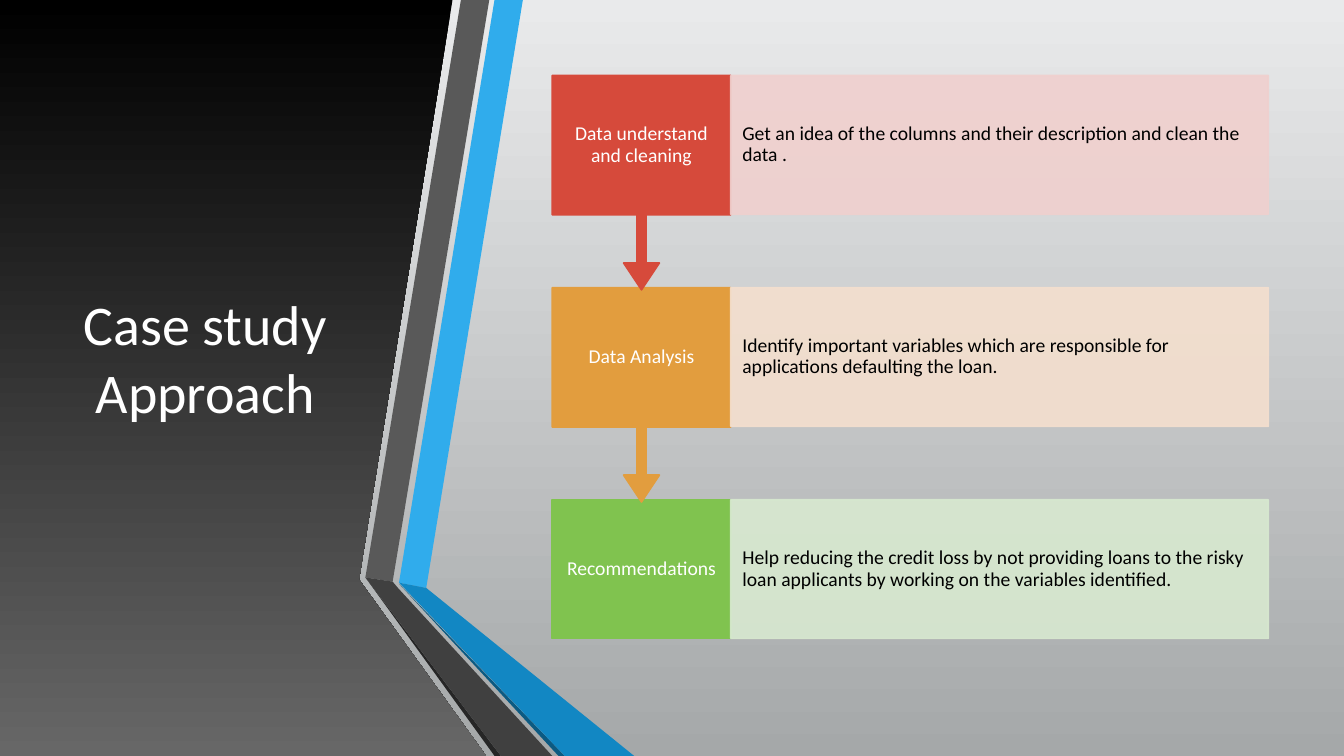
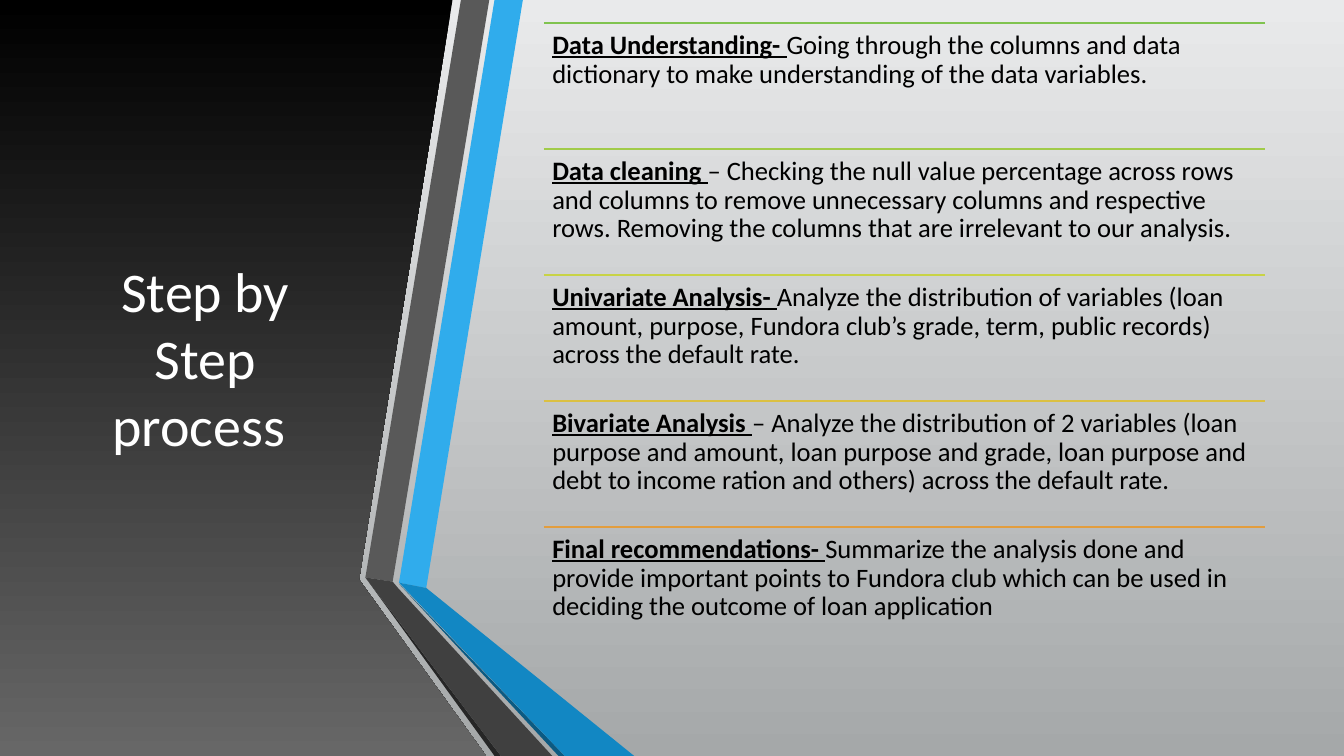
from dataclasses import dataclass

from lxml import etree
from pptx import Presentation
from pptx import util as u
from pptx.dml.color import RGBColor
from pptx.dml.fill import FillFormat
from pptx.enum import shapes, text
from pptx.oxml.ns import qn
from pptx.shapes.autoshape import Shape
from pptx.slide import Slide
from pptx.text.text import TextFrame, _Run

PX = 9525
WIDTH, HEIGHT = 1280, 720
FONT = "Calibri"

WHITE = RGBColor(0xFF, 0xFF, 0xFF)
BLACK = RGBColor(0x00, 0x00, 0x00)
PALE_GREY = RGBColor(0xE9, 0xEA, 0xEB)
MID_GREY = RGBColor(0xA5, 0xA8, 0xA9)
PANEL_GREY = RGBColor(0x67, 0x67, 0x67)
SKY = RGBColor(0x30, 0xAC, 0xEC)
BLUE = RGBColor(0x12, 0x87, 0xC3)
NAVY = RGBColor(0x0C, 0x5A, 0x82)
GREY = RGBColor(0x59, 0x59, 0x59)
DARK_GREY = RGBColor(0x40, 0x40, 0x40)
CHARCOAL = RGBColor(0x26, 0x26, 0x26)
RED = RGBColor(0xD6, 0x4A, 0x3B)
ORANGE = RGBColor(0xE2, 0x9D, 0x3E)
GOLD = RGBColor(0xDB, 0xC0, 0x42)
LIME = RGBColor(0xC8, 0xD3, 0x46)
LEAF = RGBColor(0xA1, 0xCB, 0x4A)
GREEN = RGBColor(0x80, 0xC3, 0x4F)
PALE_RED = RGBColor(0xF0, 0xD0, 0xCE)
PALE_ORANGE = RGBColor(0xF4, 0xDF, 0xCE)
PALE_GREEN = RGBColor(0xD8, 0xE9, 0xD0)


@dataclass(frozen=True)
class Band:
    color: RGBColor
    points: tuple[tuple[int, int], ...]


@dataclass(frozen=True)
class Phase:
    name: str
    detail: str
    color: RGBColor
    tint: RGBColor


@dataclass(frozen=True)
class Step:
    lead: str
    detail: str
    color: RGBColor


PANEL = ((0, 0), (431, 0), (342, 552), (463, 720), (0, 720))

BANDS = (
    Band(SKY, ((380, 555), (406, 560), (498, 0), (471, 0))),
    Band(GREY, ((466, 0), (439, 0), (348, 550), (374, 554))),
    Band(CHARCOAL, ((348, 550), (471, 720), (477, 720))),
    Band(NAVY, ((380, 556), (532, 720), (538, 720))),
    Band(BLUE, ((380, 555), (538, 720), (604, 720), (406, 560))),
    Band(DARK_GREY, ((526, 720), (379, 560), (374, 554), (348, 550), (477, 720))),
)

PHASES = (
    Phase("Data understand and cleaning",
          "Get an idea of the columns and their description and clean the data .",
          RED, PALE_RED),
    Phase("Data Analysis",
          "Identify important variables which are responsible for applications "
          "defaulting the loan.",
          ORANGE, PALE_ORANGE),
    Phase("Recommendations",
          "Help reducing the credit loss by not providing loans to the risky loan "
          "applicants by working on the variables identified.",
          GREEN, PALE_GREEN),
)

STEPS = (
    Step("Data Understanding- ",
         "Going through the columns and data dictionary to make understanding of "
         "the data variables.",
         GREEN),
    Step("Data cleaning ",
         "– Checking the null value percentage across rows and columns to remove "
         "unnecessary columns and respective rows. Removing the columns that are "
         "irrelevant to our analysis.",
         LEAF),
    Step("Univariate Analysis- ",
         "Analyze the distribution of variables (loan amount, purpose, Fundora "
         "club’s grade, term, public records) across the default rate.",
         LIME),
    Step("Bivariate Analysis ",
         "– Analyze the distribution of 2 variables (loan purpose and amount, loan "
         "purpose and grade, loan purpose and debt to income ration and others) "
         "across the default rate.",
         GOLD),
    Step("Final recommendations- ",
         "Summarize the analysis done and provide important points to Fundora club "
         "which can be used in deciding the outcome of loan application",
         ORANGE),
)


def px(n: int) -> u.Emu:
    return u.Emu(n * PX)


def set_gradient(fill: FillFormat, top: RGBColor, bottom: RGBColor) -> None:
    fill.gradient()
    fill.gradient_angle = 270
    for stop, color in zip(fill.gradient_stops, (top, bottom)):
        stop.color.rgb = color


def format_run(r: _Run, size: int, color: RGBColor, strong: bool = False) -> None:
    r.font.name = FONT
    r.font.size = u.Pt(size)
    r.font.color.rgb = color
    r.font.bold = strong
    r.font.underline = strong


def set_frame(tf: TextFrame, inset_x: int, inset_y: int,
              anchor: text.MSO_ANCHOR) -> None:
    tf.word_wrap = True
    tf.vertical_anchor = anchor
    tf.margin_left = tf.margin_right = px(inset_x)
    tf.margin_top = tf.margin_bottom = px(inset_y)


def add_outline(s: Slide, points: tuple[tuple[int, int], ...]) -> Shape:
    builder = s.shapes.build_freeform(*points[0], scale=PX)
    builder.add_line_segments(points[1:], close=True)
    sp = builder.convert_to_shape()
    sp.shadow.inherit = False
    sp.line.fill.background()
    return sp


def add_base_slide(prs: Presentation, title: str) -> Slide:
    s = prs.slides.add_slide(prs.slide_layouts.get_by_name("Title Only"))
    set_gradient(add_outline(s, PANEL).fill, BLACK, PANEL_GREY)
    for band in BANDS:
        sp = add_outline(s, band.points)
        sp.fill.solid()
        sp.fill.fore_color.rgb = band.color

    sp = s.shapes.title
    sp.left, sp.top, sp.width, sp.height = px(57), px(72), px(277), px(536)
    sp.text_frame.text = title
    set_frame(sp.text_frame, 10, 5, text.MSO_ANCHOR.MIDDLE)
    p = sp.text_frame.paragraphs[0]
    p.alignment = text.PP_ALIGN.CENTER
    format_run(p.runs[0], 40, WHITE)
    s.shapes._spTree.append(sp._element)
    return s


def add_block(s: Slide, kind: shapes.MSO_SHAPE, left: int, top: int, width: int,
              height: int, color: RGBColor) -> Shape:
    sp = s.shapes.add_shape(kind, px(left), px(top), px(width), px(height))
    sp.shadow.inherit = False
    sp.fill.solid()
    sp.fill.fore_color.rgb = color
    sp.line.color.rgb = color
    sp.line.width = u.Pt(1.25)
    return sp


def set_block_text(sp: Shape, words: str, color: RGBColor, align: text.PP_ALIGN,
                   inset_x: int, inset_y: int) -> None:
    tf = sp.text_frame
    tf.text = words
    set_frame(tf, inset_x, inset_y, text.MSO_ANCHOR.MIDDLE)
    p = tf.paragraphs[0]
    p.alignment = align
    p.line_spacing = 0.9
    format_run(p.runs[0], 14, color)


def set_opacity(sp: Shape, percent: int) -> None:
    for clr in sp._element.spPr.iter(qn("a:srgbClr")):
        etree.SubElement(clr, qn("a:alpha"), val=str(percent * 1000))


def add_phase(s: Slide, phase: Phase, top: int, is_last: bool) -> None:
    left, name_width, detail_width, height = 526, 170, 512, 132
    if is_last:
        name = add_block(s, shapes.MSO_SHAPE.RECTANGLE, left, top, name_width,
                         height, phase.color)
    else:
        name = add_block(s, shapes.MSO_SHAPE.DOWN_ARROW_CALLOUT, left, top,
                         name_width, 204, phase.color)
        for i, value in enumerate((0.05, 0.1, 0.15, 0.65)):
            name.adjustments[i] = value
    set_block_text(name, phase.name, WHITE, text.PP_ALIGN.CENTER, 12, 11)

    detail = add_block(s, shapes.MSO_SHAPE.RECTANGLE, left + name_width, top,
                       detail_width, height, phase.tint)
    set_opacity(detail, 90)
    set_block_text(detail, phase.detail, BLACK, text.PP_ALIGN.LEFT, 11, 18)


def add_step(s: Slide, step: Step, top: int, height: int) -> None:
    left, width = 518, 687
    rule = s.shapes.add_connector(shapes.MSO_CONNECTOR.STRAIGHT, px(left), px(top),
                                  px(left + width), px(top))
    rule.line.color.rgb = step.color
    rule.line.width = u.Pt(1.25)
    etree.SubElement(rule._element.spPr, qn("a:effectLst"))

    box = s.shapes.add_textbox(px(left), px(top), px(width), px(height))
    tf = box.text_frame
    set_frame(tf, 8, 8, text.MSO_ANCHOR.TOP)
    p = tf.paragraphs[0]
    p.text = step.lead
    p.line_spacing = 0.9
    format_run(p.runs[0], 19, BLACK, strong=True)
    r = p.add_run()
    r.text = step.detail
    format_run(r, 19, BLACK)


def add_approach_slide(prs: Presentation) -> None:
    s = add_base_slide(prs, "Case study Approach")
    last = len(PHASES) - 1
    for i in range(last, -1, -1):
        add_phase(s, PHASES[i], 72 + i * 202, i == last)


def add_process_slide(prs: Presentation) -> None:
    s = add_base_slide(prs, "Step by Step process ")
    pitch = 120
    for i, step in enumerate(STEPS):
        add_step(s, step, 22 + i * pitch, pitch)


def main() -> None:
    prs = Presentation()
    prs.slide_width, prs.slide_height = px(WIDTH), px(HEIGHT)
    set_gradient(prs.slide_master.background.fill, PALE_GREY, MID_GREY)
    add_approach_slide(prs)
    add_process_slide(prs)
    prs.save("out.pptx")


if __name__ == "__main__":
    main()
